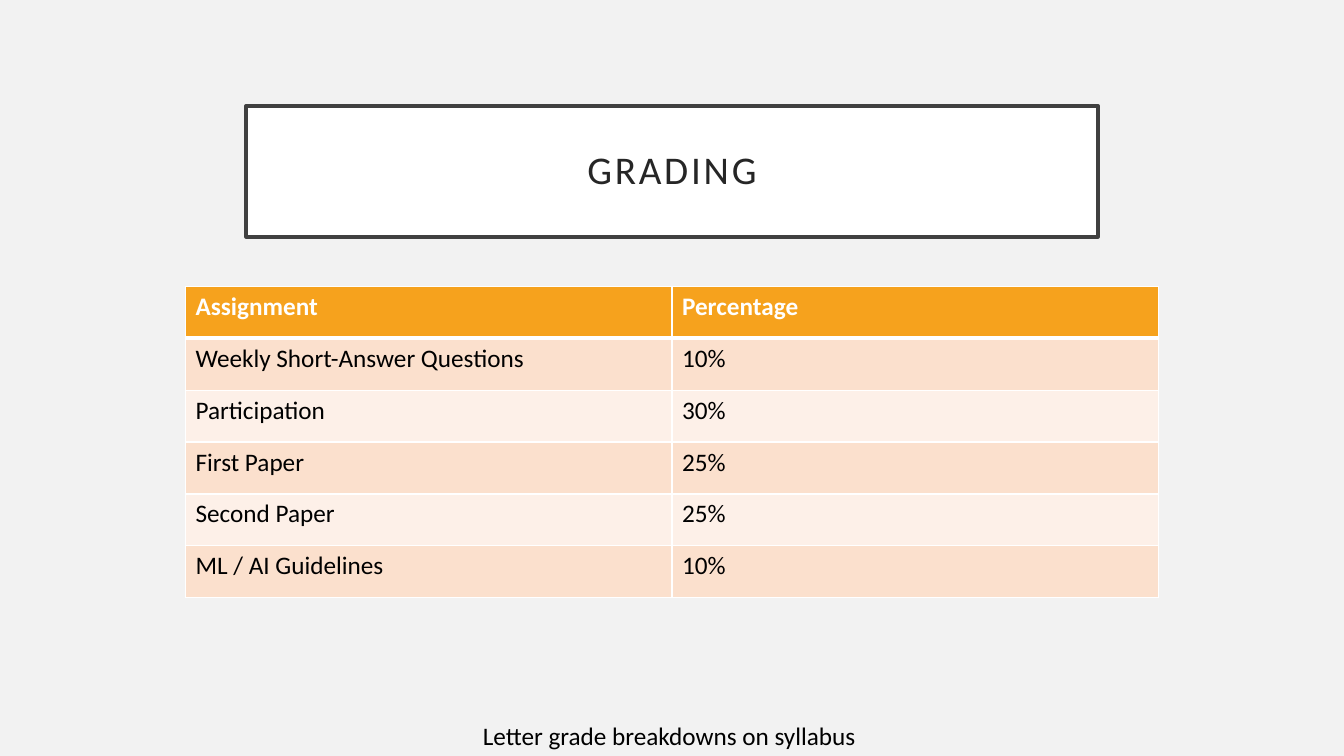
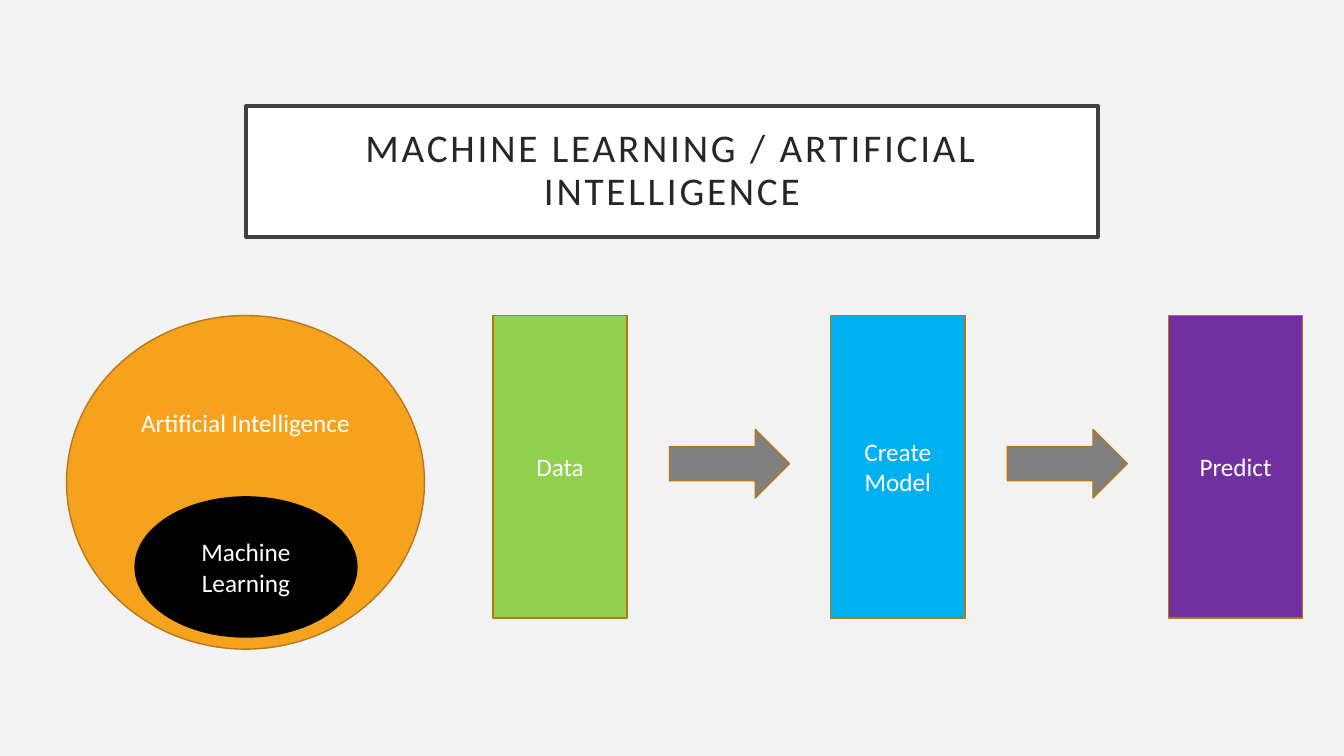
from lxml import etree
from pptx import Presentation
from pptx.dml.color import RGBColor
from pptx.enum.shapes import MSO_SHAPE
from pptx.enum.text import MSO_ANCHOR, MSO_AUTO_SIZE, PP_ALIGN
from pptx.oxml.ns import qn
from pptx.util import Pt

SCALE = 9144
RECT, OVAL, ARROW = MSO_SHAPE.RECTANGLE, MSO_SHAPE.OVAL, MSO_SHAPE.RIGHT_ARROW
LEFT, CENTER = PP_ALIGN.LEFT, PP_ALIGN.CENTER
TOP, MIDDLE = MSO_ANCHOR.TOP, MSO_ANCHOR.MIDDLE
NO_FIT, GROW = MSO_AUTO_SIZE.NONE, MSO_AUTO_SIZE.SHAPE_TO_FIT_TEXT

FONT = "Calibri"
PAPER, WHITE, BLACK = "F2F2F2", "FFFFFF", "000000"
FRAME, INK = "404040", "262626"
ORANGE, BROWN, GRAY = "F6A21D", "B67815", "808080"
BANDS = ("FBE0CD", "FDF0E8")

GRADES = [
    ("Assignment", "Percentage"),
    ("Weekly Short-Answer Questions", "10%"),
    ("Participation", "30%"),
    ("First Paper", "25%"),
    ("Second Paper", "25%"),
    ("ML / AI Guidelines", "10%"),
]
STEPS = [("Data", "92D050"), ("Create Model", "00B0F0"), ("Predict", "7030A0")]


def px(*sizes):
    """Turn px lengths into a list of EMU."""
    return [size * SCALE for size in sizes]


def paint(fill, color):
    """Give a fill one solid colour."""
    fill.solid()
    fill.fore_color.rgb = RGBColor.from_string(color)


def write(frame, text, size=18, color=WHITE, bold=False, align=CENTER,
          anchor=MIDDLE, inset=(10, 5, 10, 5), lead=None, track=None):
    """Put formatted text into a frame."""
    frame.word_wrap = True
    frame.vertical_anchor = anchor
    (frame.margin_left, frame.margin_top,
     frame.margin_right, frame.margin_bottom) = px(*inset)
    para = frame.paragraphs[0]
    para.alignment = align
    if lead:
        para.line_spacing = lead
    run = para.add_run()
    run.text = text
    font = run.font
    font.name, font.size, font.bold = FONT, Pt(size), bold
    paint(font.fill, color)
    if track:
        font._element.set("spc", str(track * 100))


def edge(cell, top=1, bottom=1):
    """Draw white borders round a table cell."""
    props = cell._tc.get_or_add_tcPr()
    for side, width in (("L", 1), ("R", 1), ("T", top), ("B", bottom)):
        line = etree.SubElement(props, qn("a:ln" + side), w=str(Pt(width)))
        fill = etree.SubElement(line, qn("a:solidFill"))
        etree.SubElement(fill, qn("a:srgbClr"), val=WHITE)


class Deck:
    """Holds the shared style and the current slide."""

    def __init__(self):
        """Start a wide deck on a pale background."""
        self.file = Presentation()
        self.file.slide_width, self.file.slide_height = px(1333, 750)
        paint(self.file.slide_master.background.fill, PAPER)
        self.slide = None

    def start(self, title):
        """Add a slide with a framed title."""
        self.slide = self.file.slides.add_slide(self.file.slide_layouts[5])
        box = self.slide.shapes.title
        box.left, box.top, box.width, box.height = px(244, 105, 845, 130)
        paint(box.fill, WHITE)
        paint(box.line.fill, FRAME)
        box.line.width = Pt(2.5)
        box.text_frame.auto_size = NO_FIT
        write(box.text_frame, title, size=28, color=INK,
              inset=(20, 20, 20, 20), lead=0.9, track=2)

    def shape(self, kind, place, fill, text="", line=BROWN, **fmt):
        """Add a filled shape, with text if given."""
        item = self.slide.shapes.add_shape(kind, *px(*place))
        item.shadow.inherit = False
        paint(item.fill, fill)
        paint(item.line.fill, line)
        item.line.width = Pt(1)
        if text:
            write(item.text_frame, text, **fmt)

    def label(self, place, text):
        """Add a plain text box."""
        box = self.slide.shapes.add_textbox(*px(*place))
        box.text_frame.auto_size = GROW
        write(box.text_frame, text, color=BLACK, align=LEFT, anchor=TOP)

    def table(self, place, rows):
        """Add a banded table with a header row."""
        grid = self.slide.shapes.add_table(
            len(rows), len(rows[0]), *px(*place)).table
        for r, row in enumerate(rows):
            head = r == 0
            for c, text in enumerate(row):
                cell = grid.cell(r, c)
                edge(cell, top=3 if r == 1 else 1, bottom=3 if head else 1)
                paint(cell.fill, ORANGE if head else BANDS[(r - 1) % 2])
                write(cell.text_frame, text, bold=head, align=LEFT,
                      anchor=TOP, color=WHITE if head else BLACK)


def main():
    """Build both slides and save them."""
    deck = Deck()

    deck.start("GRADING")
    deck.table((184, 284, 965, 309), GRADES)
    deck.label((469, 710, 395, 40), "Letter grade breakdowns on syllabus")

    deck.start("MACHINE LEARNING / ARTIFICIAL INTELLIGENCE")
    deck.shape(OVAL, (66, 313, 355, 331), ORANGE, "Artificial Intelligence",
               inset=(10, 5, 10, 123))
    deck.shape(OVAL, (134, 493, 220, 139), BLACK, "Machine Learning",
               line=BLACK)
    for i, (name, color) in enumerate(STEPS):
        left = 489 + 335 * i
        if i:
            deck.shape(ARROW, (left - 160, 426, 119, 68), GRAY)
        deck.shape(RECT, (left, 313, 133, 300), color, name)

    deck.file.save("out.pptx")


if __name__ == "__main__":
    main()
